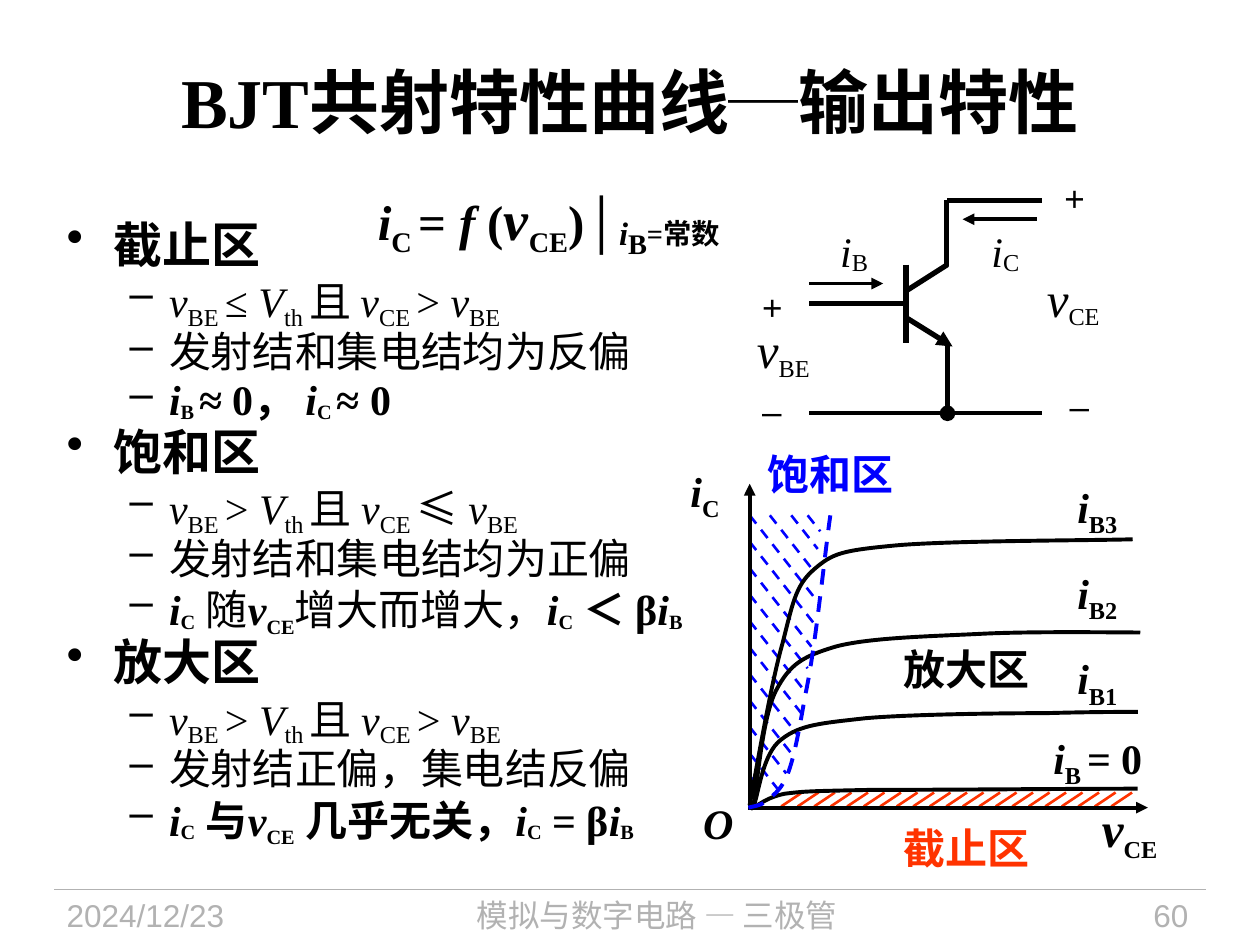
from lxml.etree import SubElement
from pptx import Presentation
from pptx.dml.color import RGBColor
from pptx.enum.dml import MSO_LINE
from pptx.enum.shapes import MSO_CONNECTOR
from pptx.enum.text import MSO_ANCHOR, MSO_AUTO_SIZE, PP_ALIGN
from pptx.oxml.ns import qn
from pptx.util import Inches, Pt

# Square grid: 100 columns by 75 rows
SLIDE_W, SLIDE_H = Inches(10), Inches(7.5)
COLS = 100
COLORS = {"ink": "000000", "muted": "B2B2B2", "cutoff": "FF3300", "saturation": "0000FF"}
SERIF, SANS, CJK = "Times New Roman", "Arial", "Noto Sans CJK SC"


def u(cells):
    return round(SLIDE_W * cells / COLS)


def run(text, **style):
    return text, style


def sym(letter, sub, base=-20, sub_size=None, **style):
    """Runs for an italic quantity with an upright subscript."""
    low = dict(style, base=base)
    if sub_size:
        low["size"] = sub_size
    return [run(letter, italic=True, **style), run(sub, **low)]


def add_run(p, text, size=24, font=SERIF, color="ink", bold=False, italic=False, base=0):
    r = p.add_run()
    r.text = text
    f = r.font
    f.size, f.name, f.bold, f.italic = Pt(size), font, bold, italic
    f.color.rgb = RGBColor.from_string(COLORS[color])
    rPr = r._r.get_or_add_rPr()
    SubElement(rPr, qn("a:ea")).set("typeface", CJK)
    if base:
        rPr.set("baseline", str(base * 1000))


def add_runs(p, runs, **common):
    for text, style in runs:
        add_run(p, text, **{**common, **style})


def add_box(s, x, y, w, h, wrap=True, inset=True, grow=True, anchor=MSO_ANCHOR.TOP):
    tf = s.shapes.add_textbox(u(x), u(y), u(w), u(h)).text_frame
    tf.word_wrap = wrap
    tf.vertical_anchor = anchor
    tf.auto_size = MSO_AUTO_SIZE.SHAPE_TO_FIT_TEXT if grow else MSO_AUTO_SIZE.NONE
    if not inset:
        tf.margin_left = tf.margin_right = tf.margin_top = tf.margin_bottom = 0
    return tf


def add_label(s, x, y, w, h, runs, align=PP_ALIGN.LEFT, spacing=None, box=None, **common):
    p = add_box(s, x, y, w, h, **(box or {})).paragraphs[0]
    p.alignment = align
    if spacing:
        p.line_spacing = spacing
    add_runs(p, runs, **common)


def style_line(sp, color, width, dash=False, tail=None):
    sp.line.color.rgb = RGBColor.from_string(COLORS[color])
    sp.line.width = Pt(width)
    if dash:
        sp.line.dash_style = MSO_LINE.DASH
    if tail:
        SubElement(sp.line._get_or_add_ln(), qn("a:tailEnd")).set("type", tail)


def add_line(s, x1, y1, x2, y2, color="ink", width=2.25, **style):
    sp = s.shapes.add_connector(MSO_CONNECTOR.STRAIGHT, u(x1), u(y1), u(x2), u(y2))
    style_line(sp, color, width, **style)
    SubElement(sp._element.spPr, qn("a:effectLst"))


def add_curve(s, points, color="ink", **style):
    """Bezier curve: a start point, then three points for each segment."""
    start, *rest = [(u(x), u(y)) for x, y in points]
    fb = s.shapes.build_freeform(*start)
    fb.add_line_segments(rest, close=False)
    sp = fb.convert_to_shape()
    sp.shadow.inherit = False
    sp.fill.background()
    style_line(sp, color, 2.25, **style)
    outline = next(sp._element.iter(qn("a:path")))
    steps = outline.findall(qn("a:lnTo"))
    for i in range(0, len(steps), 3):
        bezier = SubElement(outline, qn("a:cubicBezTo"))
        for step in steps[i:i + 3]:
            bezier.append(step[0])
            outline.remove(step)


def add_bullet(p, char, left, hanging):
    p.line_spacing = 0.8
    pPr = p._p.get_or_add_pPr()
    pPr.set("marL", str(u(left)))
    pPr.set("indent", str(-u(hanging)))
    after = SubElement(pPr, qn("a:spcAft"))
    SubElement(after, qn("a:spcPct")).set("val", "20000")
    SubElement(pPr, qn("a:buChar")).set("char", char)


def add_regions(s):
    def condition(relation, second, font=SERIF):
        return [*sym("v", "BE "), run(relation), *sym("V", "th "), run("且 "),
                *sym("v", "CE "), run(second, font=font), *sym("v", "BE")]

    def current(name, gap=""):
        return sym("i", name + gap, base=-10, sub_size=20, bold=True)

    v_ce = sym("v", "CE", base=-25, sub_size=20, bold=True)
    regions = [
        ("截止区", condition("≤ ", "> "), "发射结和集电结均为反偏",
         [*current("B", " "), run("≈ 0， ", bold=True), *current("C", " "),
          run("≈ 0", bold=True)]),
        ("饱和区", condition("> ", "≤ ", CJK), "发射结和集电结均为正偏",
         [*current("C"), run(" 随"), *v_ce, run("增大而增大，"), *current("C"), run(" "),
          run("＜ β", bold=True), *current("B")]),
        ("放大区", condition("> ", "> "), "发射结正偏，集电结反偏",
         [*current("C"), run(" 与", bold=True), *v_ce, run(" 几乎无关，", bold=True),
          *current("C"), run(" "), run("= β", bold=True), *current("B")]),
    ]
    tf = add_box(s, 4.3, 17.4, 52.1, 54.1, grow=False)
    p = tf.paragraphs[0]
    for n, (name, bias, junctions, result) in enumerate(regions):
        if n:
            p = tf.add_paragraph()
        add_bullet(p, "•", 3.75, 3.75)
        add_run(p, name, size=28, bold=True)
        for runs in (bias, [run(junctions)], result):
            p = tf.add_paragraph()
            add_bullet(p, "–", 8.13, 3.13)
            add_runs(p, runs)


def add_frame(s):
    add_line(s, 4.3, 70.6, 95.7, 70.6, "muted", 0.75)
    footer = dict(size=18, font=SANS, color="muted", box=dict(grow=False))
    add_label(s, 4.3, 70.6, 18.8, 4.4, [run("2024/12/23")], **footer)
    add_label(s, 24, 70.6, 56.3, 4.4,
              [run("模拟与数字电路 "), run("— ", font=SERIF), run("三极管")],
              PP_ALIGN.CENTER, **footer)
    add_label(s, 82, 70.6, 13.3, 4.4, [run("60")], PP_ALIGN.RIGHT, **footer)
    add_label(s, 5, 1.7, 90, 12.5, [run("BJT共射特性曲线─输出特性")], PP_ALIGN.CENTER,
              size=40, bold=True, box=dict(grow=False, anchor=MSO_ANCHOR.MIDDLE))


def add_formula(s):
    add_label(s, 29, 12.3, 34.7, 7.9,
              [*sym("i", "C ", base=-25), run("= "), run("f ", italic=True), run("("),
               *sym("v", "CE", base=-25, size=32, sub_size=28), run(")│"),
               run("i", size=32, italic=True, base=-10), run("B", base=-30),
               run("=常数", base=-10)],
              spacing=1.3, size=28, bold=True)


def add_hatching(s):
    for k in range(21):
        x = 62 + 1.31 * k
        add_line(s, x, 64, x + 1.65, 62.9, "cutoff", 1.5)
    top, slope = 40.9, 1.27
    left_ends = [64.7, 64.6, 64.4, 64.1, 63.9, 63.7, 63.3, 62.9, 62.4, 61.7]
    strokes = [(64.1, top, 65.1), (62.8, top, 64.9), (61.1, top, 64.7), (59.6, 61.7, 60.5)]
    strokes += [(59.5, top + 2.1 * k, end) for k, end in enumerate(left_ends)]
    for x, y, end in strokes:
        add_line(s, x, y, end, y + slope * (end - x), "saturation", 1.5, dash=True)


def add_characteristics(s):
    add_hatching(s)
    add_line(s, 59.4, 64.1, 91.1, 64.1, tail="triangle")
    add_line(s, 59.5, 64.1, 59.5, 38.4, tail="triangle")
    curves = [
        [(59.6, 64.2), (60.1, 64), (60.8, 63.3), (62.3, 63), (63.9, 62.8), (64.3, 62.8),
         (68.9, 62.7), (73.6, 62.7), (85.8, 62.6), (90.3, 62.6)],
        [(59.8, 64), (60.2, 63.1), (60.5, 59.8), (62, 58.7), (63.5, 57.5), (65.2, 57.4),
         (68.7, 57), (72.1, 56.7), (79.4, 56.6), (83, 56.6), (86.6, 56.5), (88.8, 56.5),
         (90.3, 56.5)],
        [(59.8, 63.9), (60.1, 62.4), (60.5, 56.9), (61.6, 54.8), (62.7, 52.7), (63.7, 52.1),
         (66.4, 51.3), (69.1, 50.6), (74, 50.5), (78, 50.3), (82.1, 50.1), (88.4, 50.2),
         (90.5, 50.2)],
        [(59.5, 63.9), (59.9, 61.8), (61.2, 54.2), (62.1, 51.1), (62.9, 48), (63.1, 46.5),
         (64.6, 45.2), (66.1, 43.9), (66.8, 43.7), (71, 43.3), (75.2, 42.9), (86.8, 42.9),
         (89.9, 42.8)],
    ]
    for points in curves:
        add_curve(s, points)
    add_curve(s, [(59.4, 64.1), (59.6, 64), (60.4, 64), (60.9, 63.5), (61.5, 63), (62.1, 62.6),
                  (62.6, 61.2), (63.1, 59.8), (63.5, 57.5), (63.9, 55.2), (64.4, 52.9),
                  (64.8, 49.7), (65.1, 47.3), (65.4, 44.9), (65.7, 42.2), (65.9, 40.9)],
              "saturation", dash=True)

    tight = dict(wrap=False, inset=False)
    middle = dict(tight, anchor=MSO_ANCHOR.MIDDLE)
    for k in range(3):
        add_label(s, 85.5, 50.9 - 6.8 * k, 4.1 if k == 0 else 3.5, 4.8,
                  sym("i", f"B{k + 1}", base=-25), spacing=1.2, bold=True, box=tight)
    add_label(s, 83.6, 57.2, 7.3, 4.8, [*sym("i", "B ", base=-25), run("= 0")],
              spacing=1.2, bold=True, box=tight)
    add_label(s, 54.8, 37.2, 2.5, 4, sym("i", "C", base=-25), bold=True, box=middle)
    add_label(s, 87.4, 63.4, 4.5, 5.1, sym("v", "CE", base=-25, size=28, sub_size=24),
              PP_ALIGN.CENTER, bold=True, box=dict(middle, grow=False))
    add_label(s, 55.8, 63.3, 2.4, 4, [run("O", italic=True)], bold=True, box=tight)
    for text, x, y, w, color, wrap in [("截止区", 70.7, 64.8, 12.1, "cutoff", False),
                                       ("放大区", 70.7, 50.6, 12.1, "ink", False),
                                       ("饱和区", 59.9, 35.1, 13.8, "saturation", True)]:
        add_label(s, x, y, w, 5, [run(text)], font=SANS, color=color, bold=True,
                  box=dict(wrap=wrap))


def add_transistor(s):
    for ends in [(71.9, 21, 71.9, 27.2), (71.9, 24.1, 64.2, 24.1), (71.9, 23.1, 75.2, 21),
                 (75.1, 21.1, 75.1, 15.9), (82.7, 15.9, 75.2, 15.9)]:
        add_line(s, *ends, width=3)
    add_line(s, 71.9, 25.2, 75.6, 27.5, width=3, tail="triangle")
    add_line(s, 75.2, 27.2, 75.2, 32.8, width=3, tail="oval")
    add_line(s, 82.7, 32.8, 64.2, 32.8)
    add_line(s, 64.2, 22.5, 70.1, 22.5, tail="triangle")
    add_line(s, 82.3, 17.4, 76.4, 17.4, tail="triangle")
    free = dict(wrap=False)
    for sub, x in [("B", 65.7), ("C", 77.7)]:
        add_label(s, x, 17.4, 4.4, 5, sym("i", sub, base=-10), box=free)
    for sub, x, y in [("BE", 59.1, 24.9), ("CE", 82.1, 20.8)]:
        add_label(s, x, y, 6.6, 5.7, sym("v", sub, size=28, sub_size=24), box=free)
    for sign, x, y in [("+", 59.5, 22.2), ("–", 59.5, 30.4), ("+", 83.5, 13.5), ("–", 83.9, 30)]:
        add_label(s, x, y, 3.6, 4.3, [run(sign)], size=20, font=SANS, box=free)


def main():
    prs = Presentation()
    prs.slide_width, prs.slide_height = SLIDE_W, SLIDE_H
    s = prs.slides.add_slide(prs.slide_layouts[6])
    add_frame(s)
    add_regions(s)
    add_formula(s)
    add_characteristics(s)
    add_transistor(s)
    prs.save("out.pptx")


if __name__ == "__main__":
    main()
